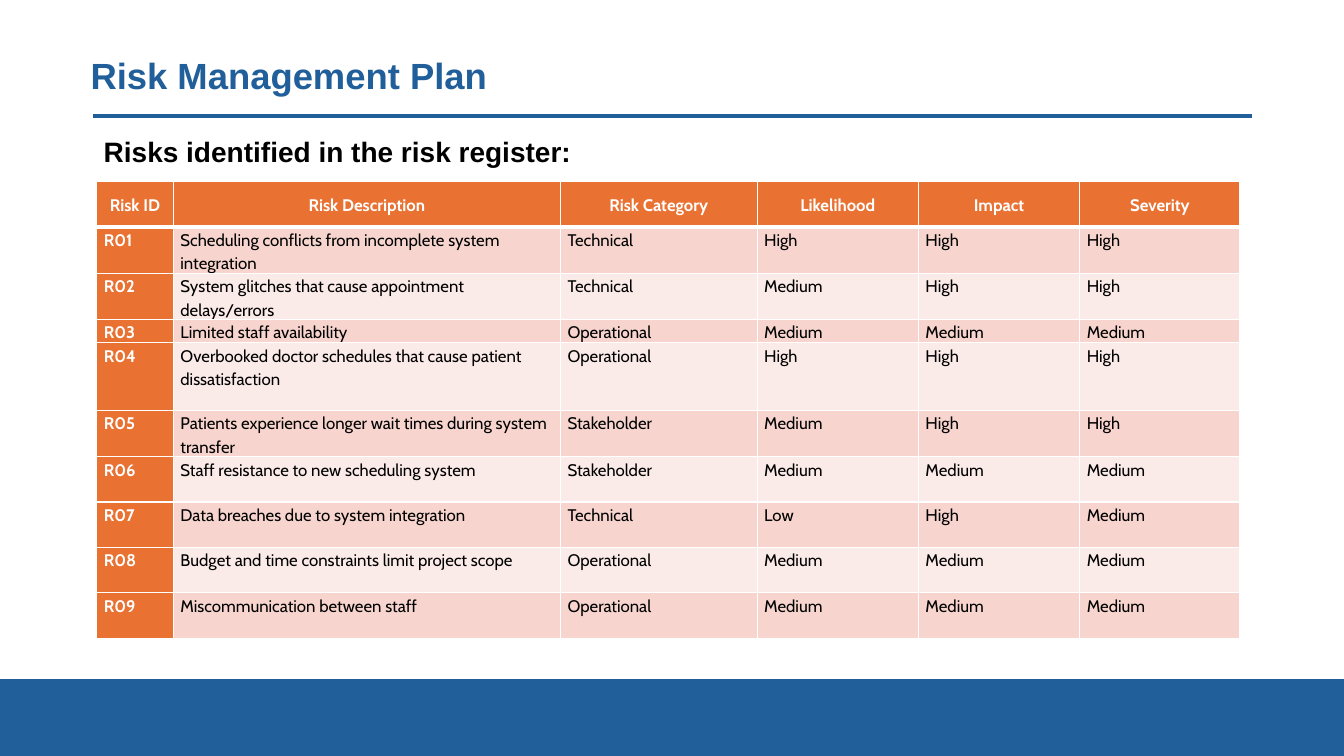
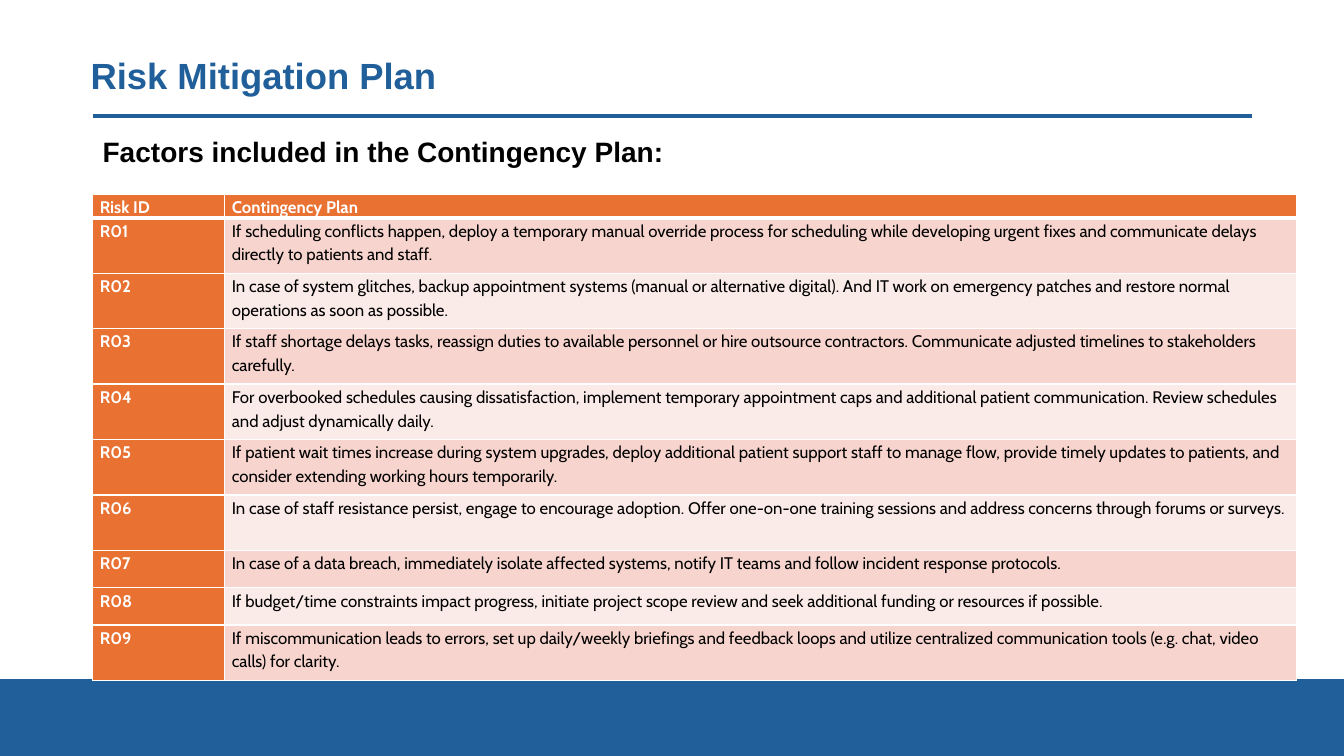
from lxml.etree import SubElement
from pptx import Presentation
from pptx.dml.color import RGBColor
from pptx.enum.shapes import MSO_CONNECTOR, MSO_SHAPE
from pptx.enum.text import MSO_ANCHOR, PP_ALIGN
from pptx.oxml.ns import qn
from pptx.util import Inches, Pt

BLUE = RGBColor(0x21, 0x5F, 0x9A)
ORANGE = RGBColor(0xE9, 0x71, 0x32)
ROSE = RGBColor(0xF7, 0xD5, 0xCE)
PALE_ROSE = RGBColor(0xFB, 0xEB, 0xE8)
WHITE = RGBColor(0xFF, 0xFF, 0xFF)
BLACK = RGBColor(0, 0, 0)
HEADING_FONT = "Arial"
TABLE_FONT = "Cabin"

RISKS = [
    ("Scheduling conflicts from incomplete system integration", "Technical", "High", "High", "High"),
    ("System glitches that cause appointment delays/errors", "Technical", "Medium", "High", "High"),
    ("Limited staff availability", "Operational", "Medium", "Medium", "Medium"),
    ("Overbooked doctor schedules that cause patient dissatisfaction", "Operational", "High", "High", "High"),
    ("Patients experience longer wait times during system transfer", "Stakeholder", "Medium", "High", "High"),
    ("Staff resistance to new scheduling system", "Stakeholder", "Medium", "Medium", "Medium"),
    ("Data breaches due to system integration", "Technical", "Low", "High", "Medium"),
    ("Budget and time constraints limit project scope", "Operational", "Medium", "Medium", "Medium"),
    ("Miscommunication between staff", "Operational", "Medium", "Medium", "Medium"),
]

CONTINGENCIES = [
    ("If scheduling conflicts happen, deploy a temporary manual override process for scheduling "
     "while developing urgent fixes and communicate delays directly to patients and staff.",),
    ("In case of system glitches, backup appointment systems (manual or alternative digital). "
     "And IT work on emergency patches and restore normal operations as soon as possible.",),
    ("If staff shortage delays tasks, reassign duties to available personnel or hire outsource "
     "contractors. Communicate adjusted timelines to stakeholders carefully.",),
    ("For overbooked schedules causing dissatisfaction, implement temporary appointment caps and "
     "additional patient communication. Review schedules and adjust dynamically daily.",),
    ("If patient wait times increase during system upgrades, deploy additional patient support staff "
     "to manage flow, provide timely updates to patients, and consider extending working hours temporarily.",),
    ("In case of staff resistance persist, engage to encourage adoption. Offer one-on-one training "
     "sessions and address concerns through forums or surveys.",),
    ("In case of a data breach, immediately isolate affected systems, notify IT teams and follow "
     "incident response protocols.",),
    ("If budget/time constraints impact progress, initiate project scope review and seek additional "
     "funding or resources if possible.",),
    ("If miscommunication leads to errors, set up daily/weekly briefings and feedback loops and "
     "utilize centralized communication tools (e.g. chat, video calls) for clarity.",),
]

SLIDES = [
    {
        "title": "Risk Management Plan",
        "subtitle": "Risks identified in the risk register:",
        "subtitle_left": 0.93,
        "header": ("Risk ID", "Risk Description", "Risk Category", "Likelihood", "Impact", "Severity"),
        "entries": RISKS,
        "table_at": (0.96, 1.8),
        "widths": (0.76, 3.84, 1.95, 1.6, 1.6, 1.59),
        "heights": (0.45, 0.45, 0.45, 0.22, 0.67, 0.45, 0.45, 0.45, 0.45, 0.45),
        "centered_header": True,
    },
    {
        "title": "Risk Mitigation Plan",
        "subtitle": "Factors included in the Contingency Plan:",
        "subtitle_left": 0.92,
        "header": ("Risk ID", "Contingency Plan"),
        "entries": CONTINGENCIES,
        "table_at": (0.92, 1.93),
        "widths": (1.31, 10.63),
        "heights": (0.18, 0.55, 0.55, 0.55, 0.55, 0.55, 0.55, 0.37, 0.37, 0.55),
        "centered_header": False,
    },
]


def add_frame(slide):
    band = slide.shapes.add_shape(MSO_SHAPE.RECTANGLE, 0, Inches(6.75), Inches(13.33), Inches(0.75))
    band.shadow.inherit = False
    band.fill.solid()
    band.fill.fore_color.rgb = BLUE
    band.line.color.rgb = BLUE
    band.line.width = Pt(1.5)
    rule = slide.shapes.add_connector(
        MSO_CONNECTOR.STRAIGHT, Inches(0.92), Inches(1.15), Inches(12.42), Inches(1.15))
    rule.line.color.rgb = BLUE
    rule.line.width = Pt(3)
    SubElement(rule._element.spPr, qn("a:effectLst"))


def style_font(paragraph, name, size, color, bold):
    font = paragraph.font
    font.name, font.size, font.bold = name, Pt(size), bold
    font.color.rgb = color


def add_heading(slide, text, left, top, height, size, color, anchor):
    box = slide.shapes.add_textbox(Inches(left), Inches(top), Inches(11.5), Inches(height))
    frame = box.text_frame
    frame.word_wrap = True
    frame.vertical_anchor = anchor
    paragraph = frame.paragraphs[0]
    paragraph.text = text
    paragraph.line_spacing = 0.9
    style_font(paragraph, HEADING_FONT, size, color, True)


def set_borders(cell, top, bottom):
    properties = cell._tc.get_or_add_tcPr()
    for side, points in (("L", 1), ("R", 1), ("T", top), ("B", bottom)):
        line = SubElement(properties, qn(f"a:ln{side}"), w=str(Pt(points)))
        fill = SubElement(line, qn("a:solidFill"))
        SubElement(fill, qn("a:srgbClr"), val=str(WHITE))


def fill_cell(cell, text, row, column, centered_header):
    is_header = row == 0
    is_label = is_header or column == 0
    set_borders(cell, 3 if row == 1 else 1, 3 if is_header else 1)
    cell.fill.solid()
    cell.fill.fore_color.rgb = ORANGE if is_label else (PALE_ROSE, ROSE)[row % 2]
    cell.margin_left = cell.margin_right = Inches(0.07)
    cell.margin_top = cell.margin_bottom = 0
    cell.text = text
    paragraph = cell.text_frame.paragraphs[0]
    paragraph.line_spacing = 1.15
    paragraph.space_after = Pt(8)
    if is_header and centered_header:
        cell.vertical_anchor = MSO_ANCHOR.MIDDLE
        paragraph.alignment = PP_ALIGN.CENTER
    style_font(paragraph, TABLE_FONT, 12, WHITE if is_label else BLACK, is_label)


def add_risk_table(slide, content):
    rows = [content["header"]]
    rows += [(f"R{number:02}", *entry) for number, entry in enumerate(content["entries"], 1)]
    widths, heights = content["widths"], content["heights"]
    left, top = content["table_at"]
    table = slide.shapes.add_table(
        len(rows), len(widths), Inches(left), Inches(top),
        Inches(sum(widths)), Inches(sum(heights))).table
    table.first_col = True
    for column, width in zip(table.columns, widths):
        column.width = Inches(width)
    for row, height in zip(table.rows, heights):
        row.height = Inches(height)
    for row, texts in enumerate(rows):
        for column, text in enumerate(texts):
            fill_cell(table.cell(row, column), text, row, column, content["centered_header"])


def main():
    presentation = Presentation()
    presentation.slide_width = Inches(13.33)
    presentation.slide_height = Inches(7.5)
    for content in SLIDES:
        slide = presentation.slides.add_slide(presentation.slide_layouts[6])
        add_frame(slide)
        add_heading(slide, content["title"], 0.8, 0.4, 0.75, 26, BLUE, MSO_ANCHOR.MIDDLE)
        add_heading(slide, content["subtitle"], content["subtitle_left"], 1.32, 0.45, 20, BLACK, MSO_ANCHOR.TOP)
        add_risk_table(slide, content)
    presentation.save("out.pptx")


if __name__ == "__main__":
    main()
